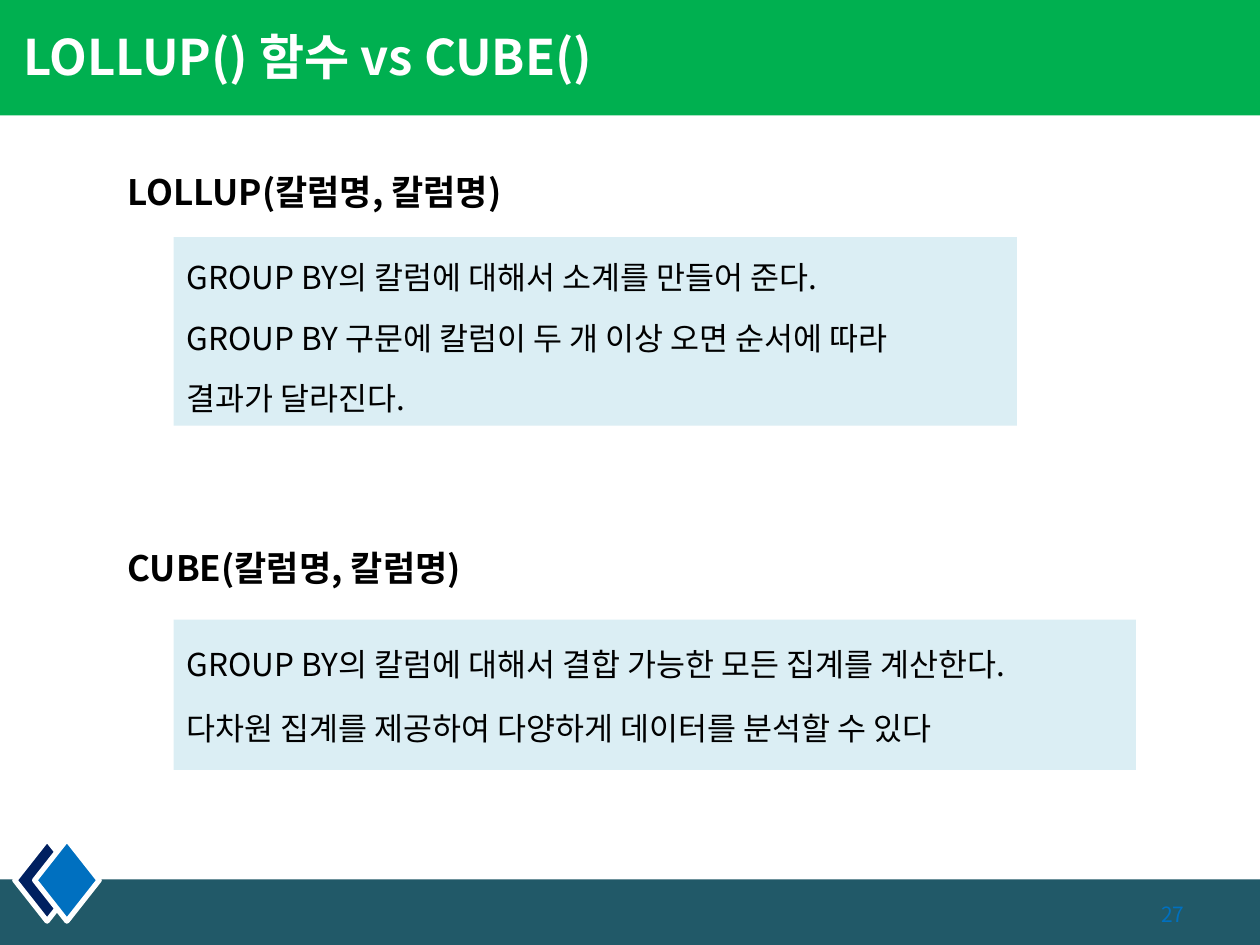
from lxml import etree
from pptx import Presentation
from pptx import util as u
from pptx.dml.color import RGBColor
from pptx.enum import shapes, text
from pptx.oxml.ns import qn

FONT = "Noto Sans CJK KR"
WHITE = RGBColor(0xFF, 0xFF, 0xFF)
BLACK = RGBColor(0, 0, 0)
GREEN = RGBColor(0x00, 0xB0, 0x50)
TEAL = RGBColor(0x21, 0x59, 0x68)
NAVY = RGBColor(0x00, 0x20, 0x60)
BLUE = RGBColor(0x00, 0x70, 0xC0)
PALE = RGBColor(0xDB, 0xEE, 0xF4)


def write(shape, lines, size=18, color=BLACK, bold=False, space=1.0,
          before=0, inset=0.26, anchor=text.MSO_ANCHOR.TOP,
          align=text.PP_ALIGN.LEFT):
    frame = shape.text_frame
    frame.word_wrap = True
    frame.auto_size = text.MSO_AUTO_SIZE.NONE
    frame.vertical_anchor = anchor
    frame.margin_left = u.Cm(inset)
    frame.text = "\n".join(lines)
    for para in frame.paragraphs:
        para.alignment = align
        para.line_spacing = space
        para.space_before = u.Pt(before)
        font = para.runs[0].font
        font.size, font.bold, font.name = u.Pt(size), bold, FONT
        font.color.rgb = color
        # No kerning; Hangul takes the East Asian typeface
        font._element.set("kern", "0")
        east = etree.SubElement(font._element, qn("a:ea"))
        east.set("typeface", FONT)


def draw(kind, left, top, width, height, fill, line=None):
    shape = slide.shapes.add_shape(
        kind, u.Cm(left), u.Cm(top), u.Cm(width), u.Cm(height))
    shape.shadow.inherit = False
    shape.fill.solid()
    shape.fill.fore_color.rgb = fill
    if line is None:
        shape.line.fill.background()
    else:
        shape.line.color.rgb = line
        shape.line.width = u.Pt(3)
    return shape


deck = Presentation()
deck.slide_width, deck.slide_height = u.Cm(25.4), u.Cm(19.05)
slide = deck.slides.add_slide(deck.slide_layouts[5])
RECT = shapes.MSO_SHAPE.RECTANGLE

# Footer band, diamonds and header band
draw(RECT, 0, 17.73, 25.4, 1.32, TEAL)
for left, fill in ((0.3, NAVY), (0.7, BLUE)):
    draw(shapes.MSO_SHAPE.DIAMOND, left, 16.92, 1.3, 1.65, fill, WHITE)
draw(RECT, 0, 0, 25.4, 2.33, GREEN)

# Title, brought in front of the header band
title = slide.shapes.title
title.left, title.top = u.Cm(0), u.Cm(-0.06)
title.width, title.height = u.Cm(15.9), u.Cm(2.39)
write(title, ["LOLLUP() 함수 vs CUBE()"], size=28, color=WHITE, bold=True,
      inset=0.47, anchor=text.MSO_ANCHOR.MIDDLE)
slide.shapes._spTree.append(title._element)

# Sections: heading, its top, box top, width, height, line spacing, lines
parts = (
    ("LOLLUP(칼럼명, 칼럼명)", 3.31, 4.78, 17, 3.8, 1.4,
     ["GROUP BY의 칼럼에 대해서 소계를 만들어 준다.",
      "GROUP BY 구문에 칼럼이 두 개 이상 오면 순서에 따라",
      "결과가 달라진다."]),
    ("CUBE(칼럼명, 칼럼명)", 10.9, 12.49, 19.4, 3.03, 1.5,
     ["GROUP BY의 칼럼에 대해서 결합 가능한 모든 집계를 계산한다.",
      "다차원 집계를 제공하여 다양하게 데이터를 분석할 수 있다"]),
)
for head, y, top, width, height, space, lines in parts:
    label = slide.shapes.add_textbox(
        u.Cm(2.31), u.Cm(y), u.Cm(15), u.Cm(1.11))
    write(label, [head], size=20, bold=True)
    box = draw(RECT, 3.5, top, width, height, PALE)
    write(box, lines, space=space, before=4.2)

# Slide number
num = slide.shapes.add_textbox(
    u.Cm(21.63), u.Cm(17.93), u.Cm(2.5), u.Cm(1))
write(num, ["27"], size=12, color=BLUE, anchor=text.MSO_ANCHOR.MIDDLE,
      align=text.PP_ALIGN.RIGHT)

deck.save("out.pptx")
